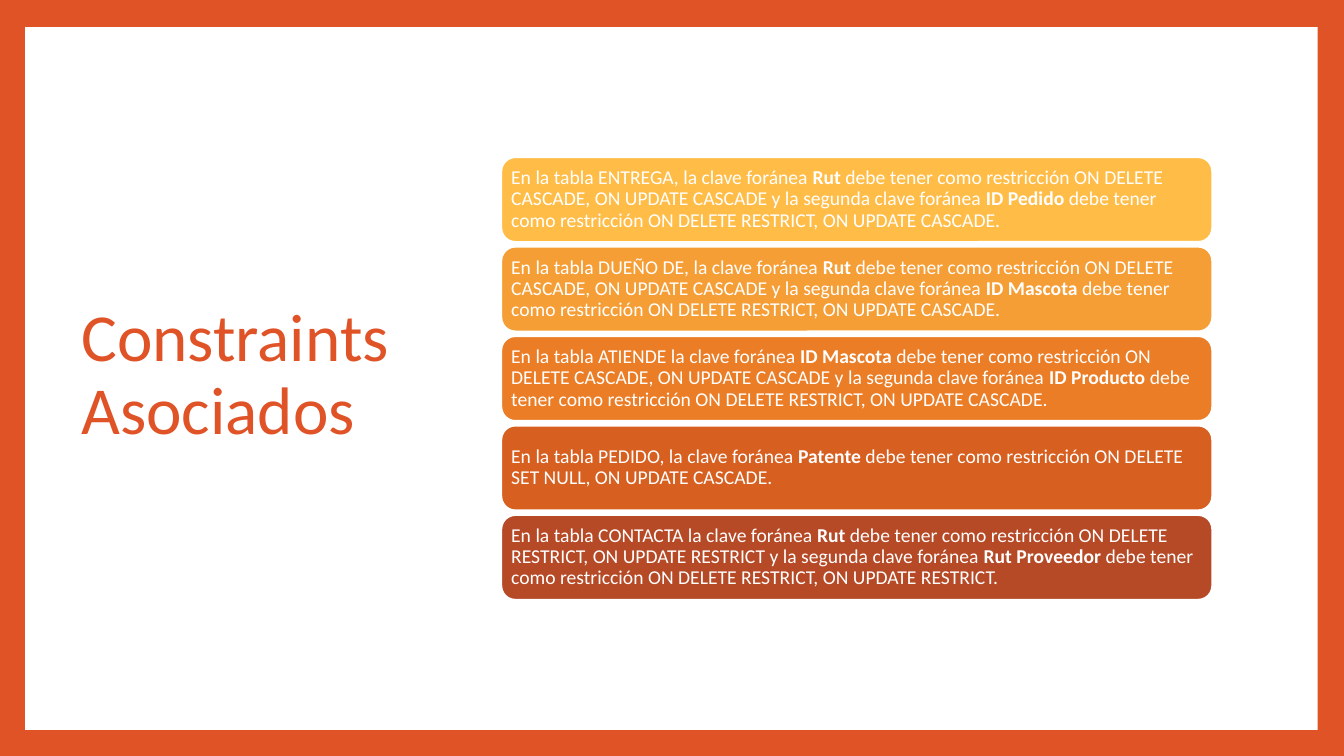
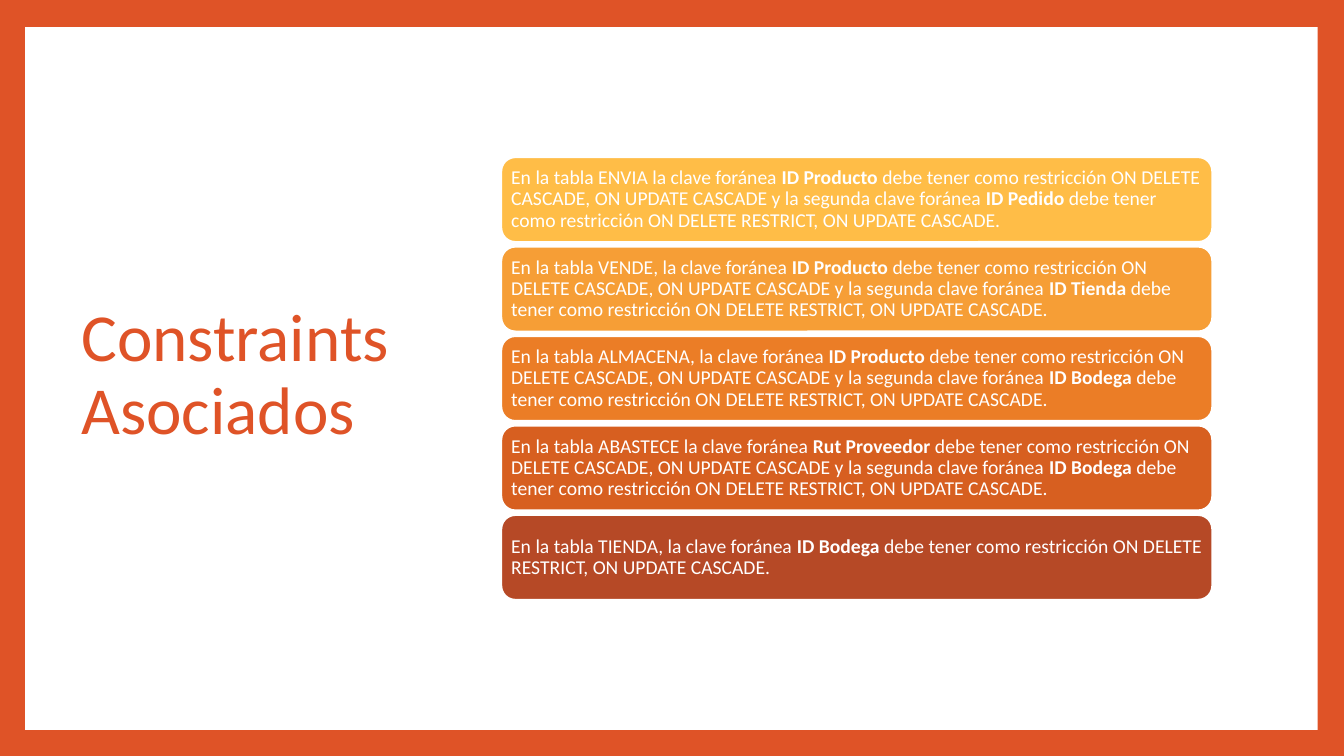
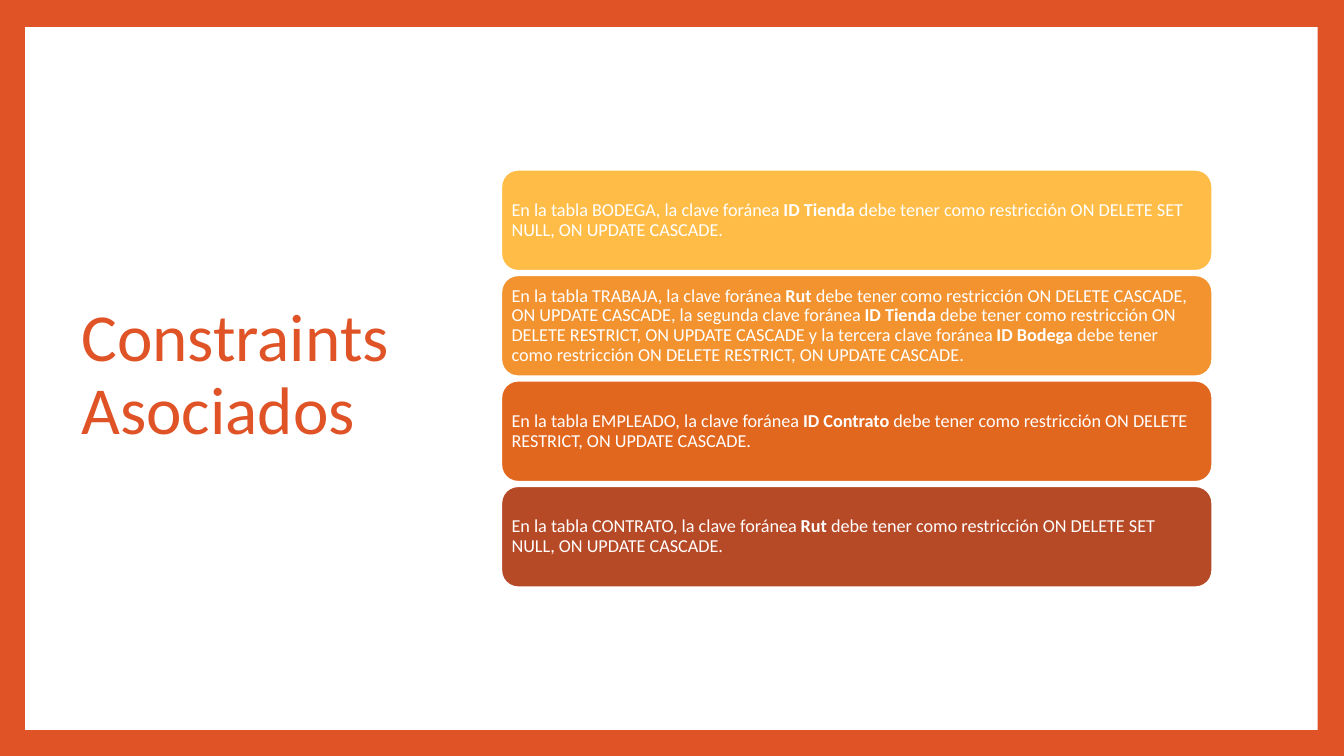
from dataclasses import dataclass
from pptx import Presentation
from pptx.dml.color import RGBColor
from pptx.enum.shapes import MSO_SHAPE as SHAPE
from pptx.enum.text import MSO_ANCHOR as ANCHOR, PP_ALIGN as ALIGN
from pptx.util import Pt


@dataclass(frozen=True)
class Theme:
    font: str = "Calibri"
    accent: str = "DF5327"
    paper: str = "FFFFFF"
    title_size: int = 48
    line_spacing: float = 0.9
    # Card colours, top to bottom, by number of cards
    ramps = {
        4: ("FFBD47", "F29330", "E2671E", "B64926"),
        5: ("FFBD47", "F69E36", "EB7D26", "D75F20", "B64926"),
    }
    # Text size, card height and gap, by number of cards
    cards = {4: (13, 72.4, 2.95), 5: (14, 60.73, 3.17)}


# Content: (table, foreign keys), each key with its delete and update rules
TITLE = "Constraints Asociados"
ORDINALS = ("", "segunda ", "tercera ")
SLIDES = [
    [
        ("ENTREGA,", [("Rut", "CASCADE", "CASCADE"), ("ID Pedido", "RESTRICT", "CASCADE")]),
        ("DUEÑO DE,", [("Rut", "CASCADE", "CASCADE"), ("ID Mascota", "RESTRICT", "CASCADE")]),
        ("ATIENDE", [("ID Mascota", "CASCADE", "CASCADE"), ("ID Producto", "RESTRICT", "CASCADE")]),
        ("PEDIDO,", [("Patente", "SET NULL", "CASCADE")]),
        ("CONTACTA", [("Rut", "RESTRICT", "RESTRICT"), ("Rut Proveedor", "RESTRICT", "RESTRICT")]),
    ],
    [
        ("ENVIA", [("ID Producto", "CASCADE", "CASCADE"), ("ID Pedido", "RESTRICT", "CASCADE")]),
        ("VENDE,", [("ID Producto", "CASCADE", "CASCADE"), ("ID Tienda", "RESTRICT", "CASCADE")]),
        ("ALMACENA,", [("ID Producto", "CASCADE", "CASCADE"), ("ID Bodega", "RESTRICT", "CASCADE")]),
        ("ABASTECE", [("Rut Proveedor", "CASCADE", "CASCADE"), ("ID Bodega", "RESTRICT", "CASCADE")]),
        ("TIENDA,", [("ID Bodega", "RESTRICT", "CASCADE")]),
    ],
    [
        ("BODEGA,", [("ID Tienda", "SET NULL", "CASCADE")]),
        ("TRABAJA,", [("Rut", "CASCADE", "CASCADE"), ("ID Tienda", "RESTRICT", "CASCADE"),
                      ("ID Bodega", "RESTRICT", "CASCADE")]),
        ("EMPLEADO,", [("ID Contrato", "RESTRICT", "CASCADE")]),
        ("CONTRATO,", [("Rut", "SET NULL", "CASCADE")]),
    ],
]


def sentence(table, keys):
    """Return the (text, bold) pieces of the sentence about one table."""
    pieces = []
    for i, (key, on_delete, on_update) in enumerate(keys):
        last = i == len(keys) - 1
        if i == 0:
            lead = f"En la tabla {table}"
        else:
            lead = " y" if last else ","
        pieces += [
            (f"{lead} la {ORDINALS[i]}clave foránea ", False),
            (key, True),
            (f" debe tener como restricción ON DELETE {on_delete}, ON UPDATE {on_update}", False),
        ]
    return pieces + [(".", False)]


class Deck:
    def __init__(self, theme):
        self.theme = theme
        self.prs = Presentation()
        self.prs.slide_width, self.prs.slide_height = Pt(960), Pt(540)
        self.s = None

    def new_slide(self):
        self.s = self.prs.slides.add_slide(self.prs.slide_layouts[6])
        fill = self.s.background.fill
        fill.solid()
        fill.fore_color.rgb = RGBColor.from_string(self.theme.accent)
        self.box(SHAPE.RECTANGLE, 18, 19.3, 923.2, 502, self.theme.paper).line.fill.background()

    def box(self, kind, x, y, w, h, color):
        sp = self.s.shapes.add_shape(kind, Pt(x), Pt(y), Pt(w), Pt(h))
        sp.shadow.inherit = False
        sp.fill.solid()
        sp.fill.fore_color.rgb = RGBColor.from_string(color)
        return sp

    def set_text(self, sp, pieces, size, color):
        tf = sp.text_frame
        tf.word_wrap = True
        tf.vertical_anchor = ANCHOR.MIDDLE
        p = tf.paragraphs[0]
        p.alignment = ALIGN.LEFT
        p.line_spacing = self.theme.line_spacing
        p.font.name, p.font.size = self.theme.font, Pt(size)
        p.font.color.rgb = RGBColor.from_string(color)
        for text, bold in pieces:
            r = p.add_run()
            r.text = text
            if bold:
                r.font.bold = True

    def title(self, text):
        sp = self.s.shapes.add_textbox(Pt(51), Pt(48.2), Pt(265), Pt(441.4))
        self.set_text(sp, [(text, False)], self.theme.title_size, self.theme.accent)

    def card(self, y, h, color, pieces, size):
        sp = self.box(SHAPE.ROUNDED_RECTANGLE, 358, y, 508, h, color)
        sp.line.color.rgb = RGBColor.from_string(self.theme.paper)
        sp.line.width = Pt(1.5)
        tf = sp.text_frame
        tf.margin_left = tf.margin_right = tf.margin_top = tf.margin_bottom = Pt(0.3 * size)
        self.set_text(sp, pieces, size, self.theme.paper)

    def card_stack(self, rows, middle=270.4):
        n = len(rows)
        size, h, gap = self.theme.cards[n]
        top = middle - (n * h + (n - 1) * gap) / 2
        for i, (row, color) in enumerate(zip(rows, self.theme.ramps[n])):
            self.card(top + i * (h + gap), h, color, sentence(*row), size)


def main():
    deck = Deck(Theme())
    for rows in SLIDES:
        deck.new_slide()
        deck.title(TITLE)
        deck.card_stack(rows)
    deck.prs.save("out.pptx")


if __name__ == "__main__":
    main()
